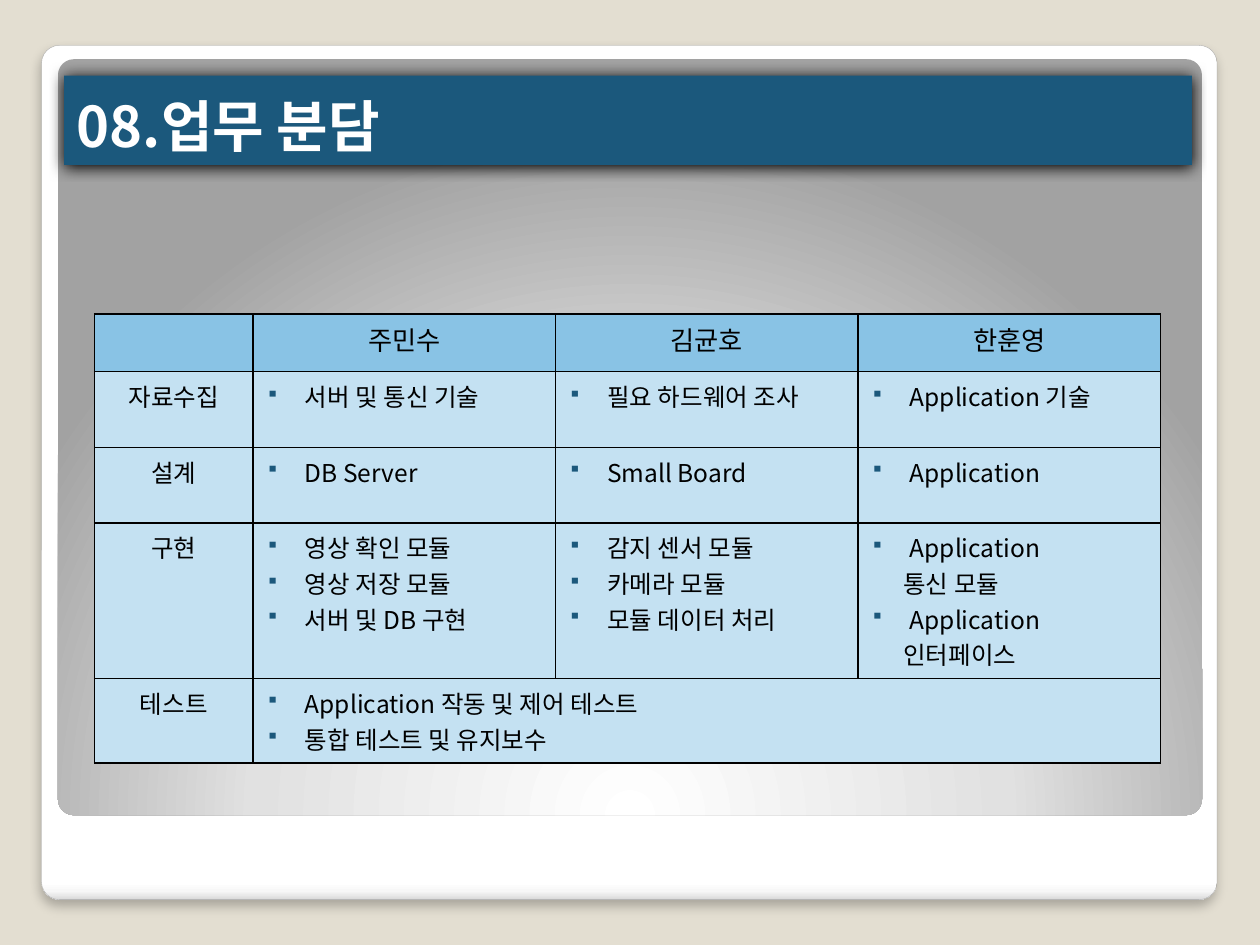
import pptx
import pptx.util
import pptx.dml.color
import pptx.enum.shapes
import pptx.enum.text
import pptx.oxml
import pptx.oxml.ns

Inches = pptx.util.Inches
Pt = pptx.util.Pt
RGB = pptx.dml.color.RGBColor
SHAPE = pptx.enum.shapes.MSO_SHAPE
ALIGN = pptx.enum.text.PP_ALIGN
NS = pptx.oxml.ns.nsdecls("a")

SAND = RGB(0xE3, 0xDE, 0xD1)
GREY = RGB(0xA4, 0xA4, 0xA4)
NAVY = RGB(0x1B, 0x58, 0x7C)
SKY = RGB(0x89, 0xC3, 0xE5)
PALE = RGB(0xC4, 0xE1, 0xF2)
WHITE = RGB(0xFF, 0xFF, 0xFF)
BLACK = RGB(0, 0, 0)
FACE = "Noto Sans CJK KR"

FRAME = [(0, "FFFFFF"), (98, "FFFFFF"), (99, "F7F7F7"), (100, "DADADA")]
GLOW = [(0, "FFFFFF"), (55, "E1E1E1"), (100, "A2A2A2")]
DOWN = '<a:lin ang="5400000" scaled="0"/>'
ROUND = ('<a:path path="circle"><a:fillToRect l="50000" t="175000" '
         'r="50000" b="-75000"/></a:path>')

NAMES = ["", "주민수", "김균호", "한훈영"]
TASKS = [
    ("자료수집", ["서버 및 통신 기술"], ["필요 하드웨어 조사"], ["Application 기술"]),
    ("설계", ["DB Server"], ["Small Board"], ["Application"]),
    ("구현", ["영상 확인 모듈", "영상 저장 모듈", "서버 및 DB 구현"],
     ["감지 센서 모듈", "카메라 모듈", "모듈 데이터 처리"],
     ["Application", "+통신 모듈", "Application", "+인터페이스"]),
    ("테스트", ["Application 작동 및 제어 테스트", "통합 테스트 및 유지보수"]),
]
COLS = [1.26, 2.4, 2.4, 2.4]
ROWS = [0.46, 0.6, 0.6, 1.23, 0.67]


def node(text):
    """Parse one drawing element, adding its namespace."""
    tag, rest = text.split(" ", 1)
    return pptx.oxml.parse_xml(f"{tag} {NS} {rest}")


def write(para, text, color, **form):
    """Add a run with the given font values."""
    run = para.add_run()
    run.text = text
    for key, val in dict(name=FACE, **form).items():
        setattr(run.font, key, val)
    run.font.color.rgb = color
    run.font._element.append(node(f'<a:ea typeface="{FACE}"/>'))


def block(slide, kind, box):
    """Place a plain shape without line or shadow."""
    shape = slide.shapes.add_shape(kind, *map(Inches, box))
    shape.shadow.inherit = False
    shape.line.fill.background()
    shape.fill.background()
    return shape


def shade(shape, stops, way):
    """Fill a shape with a gradient."""
    marks = "".join(f'<a:gs pos="{pos * 1000}"><a:srgbClr val="{tint}"/></a:gs>'
                    for pos, tint in stops)
    grad = node(f'<a:gradFill rotWithShape="1"><a:gsLst>{marks}</a:gsLst>{way}</a:gradFill>')
    props = shape._element.spPr
    props.replace(props.find(pptx.oxml.ns.qn("a:noFill")), grad)


def drop(shape, alpha, blur, dist):
    """Cast a black shadow straight down."""
    effect = shape._element.spPr.find(pptx.oxml.ns.qn("a:effectLst"))
    effect.append(node(
        f'<a:outerShdw blurRad="{Pt(blur)}" dist="{Pt(dist)}" dir="5400000" '
        f'algn="t" rotWithShape="0"><a:srgbClr val="000000">'
        f'<a:alpha val="{alpha * 1000}"/></a:srgbClr></a:outerShdw>'))


def panel(slide, box):
    """Draw the white frame and the glowing panel in it."""
    left, top, wide, high = box
    frame = block(slide, SHAPE.ROUNDED_RECTANGLE, box)
    shade(frame, FRAME, DOWN)
    frame.line.color.rgb = GREY
    frame.line.width = Pt(0.16)
    drop(frame, 25, 6, 4)
    inner = block(slide, SHAPE.ROUNDED_RECTANGLE,
                  (left + 0.13, top + 0.11, wide - 0.25, high - 0.78))
    shade(inner, GLOW, ROUND)
    for shape in (frame, inner):
        shape.adjustments[0] = 0.021


def title(slide, box, text):
    """Draw the title bar."""
    bar = block(slide, SHAPE.RECTANGLE, box)
    bar.fill.solid()
    bar.fill.fore_color.rgb = NAVY
    drop(bar, 100, 8.5, 1)
    frame = bar.text_frame
    frame.word_wrap = True
    frame.vertical_anchor = pptx.enum.text.MSO_ANCHOR.BOTTOM
    para = frame.paragraphs[0]
    para.alignment = ALIGN.LEFT
    write(para, text, WHITE, size=Pt(32), bold=True)


def paint(cell, color):
    """Give a cell its fill and black borders."""
    props = cell._tc.get_or_add_tcPr()
    for side in "LRTB":
        props.append(node(f'<a:ln{side} w="{Pt(1)}"><a:solidFill><a:srgbClr val="000000"/>'
                          f'</a:solidFill></a:ln{side}>'))
    cell.fill.solid()
    cell.fill.fore_color.rgb = color


def label(cell, text, size):
    """Write a centred heading."""
    para = cell.text_frame.paragraphs[0]
    para.alignment = ALIGN.CENTER
    write(para, text, BLACK, size=Pt(size))


def points(cell, items):
    """Write bullets; a leading plus continues the bullet above."""
    frame = cell.text_frame
    for num, item in enumerate(items):
        para = frame.add_paragraph() if num else frame.paragraphs[0]
        props = para._p.get_or_add_pPr()
        if item.startswith("+"):
            props.set("marL", str(Inches(0.26)))
        else:
            props.set("marL", str(Inches(0.31)))
            props.set("indent", str(Inches(-0.31)))
            props.append(node(f'<a:buClr ><a:srgbClr val="{NAVY}"/></a:buClr>'))
            props.append(node('<a:buSzPct val="75000"/>'))
            props.append(node('<a:buChar char="▪"/>'))
        write(para, item.lstrip("+"), BLACK, size=Pt(14))


def duties(slide, left, top):
    """Draw the table of who does what."""
    table = slide.shapes.add_table(
        len(ROWS), len(COLS), Inches(left), Inches(top),
        Inches(sum(COLS)), Inches(sum(ROWS))).table
    for col, wide in zip(table.columns, COLS):
        col.width = Inches(wide)
    for num, (row, high) in enumerate(zip(table.rows, ROWS)):
        row.height = Inches(high)
        for cell in row.cells:
            paint(cell, PALE if num else SKY)
    for col, name in enumerate(NAMES):
        if name:
            label(table.cell(0, col), name, 15)
    for num, (stage, *parts) in enumerate(TASKS, 1):
        label(table.cell(num, 0), stage, 14)
        for col, items in enumerate(parts, 1):
            points(table.cell(num, col), items)
    table.cell(4, 1).merge(table.cell(4, 3))


def main():
    """Build and save the slide."""
    deck = pptx.Presentation()
    deck.slide_width, deck.slide_height = Inches(10), Inches(7.5)
    slide = deck.slides.add_slide(deck.slide_layouts[6])
    slide.background.fill.solid()
    slide.background.fill.fore_color.rgb = SAND
    panel(slide, (0.33, 0.36, 9.33, 6.78))
    title(slide, (0.51, 0.6, 8.95, 0.71), "08.업무 분담")
    duties(slide, 0.75, 2.49)
    deck.save("out.pptx")


if __name__ == "__main__":
    main()
